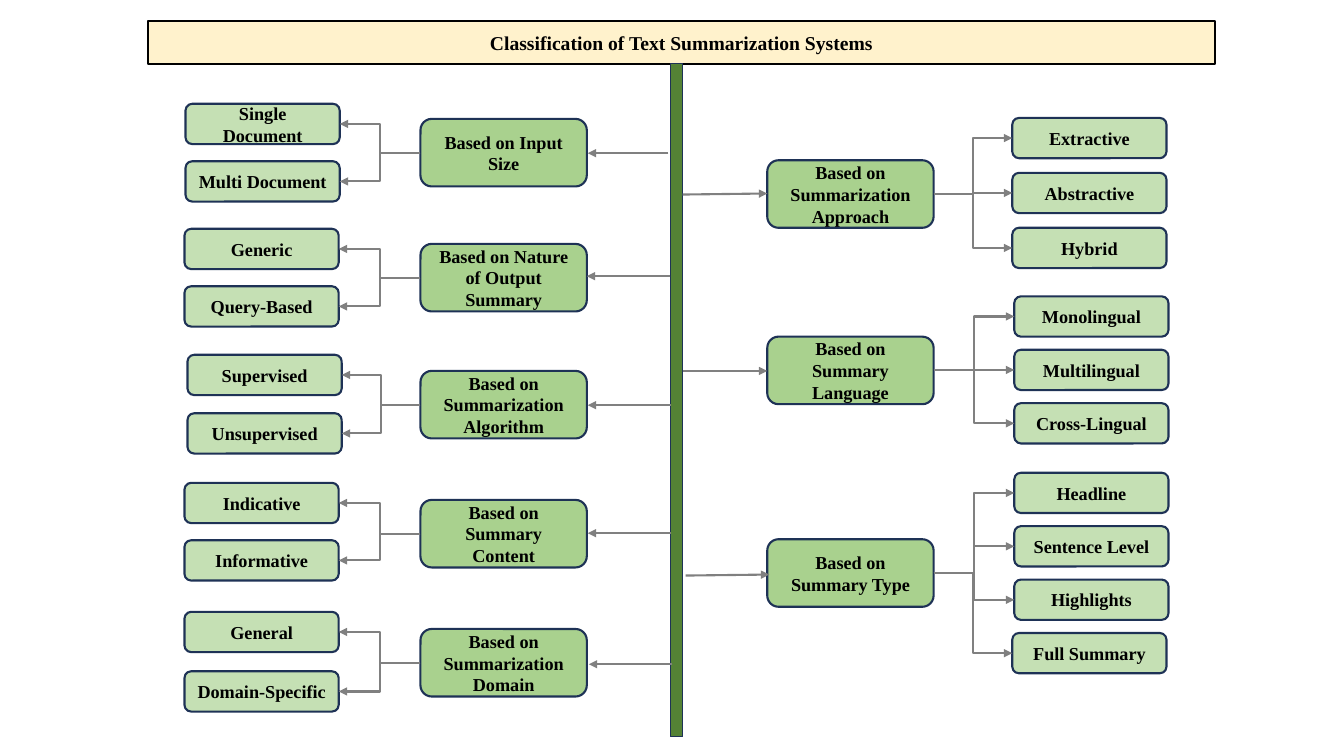
from dataclasses import dataclass

from lxml.etree import SubElement
from pptx import Presentation
from pptx.dml.color import RGBColor
from pptx.enum.shapes import MSO_CONNECTOR as Route, MSO_SHAPE as Preset
from pptx.enum.text import MSO_ANCHOR as Anchor, PP_ALIGN as Align
from pptx.oxml.ns import qn
from pptx.shapes.autoshape import Shape
from pptx.shapes.connector import Connector
from pptx.slide import Slide
from pptx.util import Inches, Pt

WIDTH, HEIGHT = Inches(13.33), Inches(7.5)
COLUMNS, ROWS = 1333, 750
COLUMN, ROW = WIDTH / COLUMNS, HEIGHT / ROWS

COLORS = {
    "banner": "FFF2CC",
    "banner_edge": "000000",
    "trunk": "548235",
    "category": "A9D18E",
    "kind": "C5E0B4",
    "edge": "1E3256",
    "arrow": "808080",
    "text": "000000",
}
FONT = {"name": "Times New Roman", "size": Pt(13), "bold": True}
BANNER_FONT = FONT | {"size": Pt(14)}
FRAME = {"word_wrap": True, "vertical_anchor": Anchor.MIDDLE}

CATEGORY_SIZE = (165, 67)
KIND_SIZE = (153, 40)
LEFT_SITE, RIGHT_SITE = 1, 3


@dataclass(frozen=True)
class Box:
    left: float
    top: float
    width: float
    height: float


@dataclass(frozen=True)
class Category:
    title: str
    top: float
    arrow: tuple[float, float, float, float]
    kinds: tuple[str, ...]
    kind_left: float
    kind_top: float
    pitch: float
    last_shift: float = 0


@dataclass(frozen=True)
class Side:
    left: float
    exit_site: int
    entry_site: int
    categories: tuple[Category, ...]


SIDES = (
    Side(417, LEFT_SITE, RIGHT_SITE, (
        Category("Based on Input Size", 118, (663, 152, 583, 152),
                 ("Single Document", "Multi Document"), 184, 103, 57),
        Category("Based on Nature of Output Summary", 242, (665, 274, 582, 274),
                 ("Generic", "Query-Based"), 183, 227, 57),
        Category("Based on Summarization Algorithm", 368, (666, 402, 583, 402),
                 ("Supervised", "Unsupervised"), 186, 352, 58),
        Category("Based on Summary Content", 496, (666, 529, 583, 529),
                 ("Indicative", "Informative"), 183, 479, 57),
        Category("Based on Summarization Domain", 624, (667, 659, 584, 659),
                 ("General", "Domain-Specific"), 183, 607, 59),
    )),
    Side(761, RIGHT_SITE, LEFT_SITE, (
        Category("Based on Summarization Approach", 159, (677, 193, 761, 192),
                 ("Extractive", "Abstractive", "Hybrid"), 1004, 117, 54.5),
        Category("Based on Summary Language", 334, (677, 368, 761, 368),
                 ("Monolingual", "Multilingual", "Cross-Lingual"), 1006, 294, 53),
        Category("Based on Summary Type", 535, (680, 571, 763, 570),
                 ("Headline", "Sentence Level", "Highlights", "Full Summary"),
                 1006, 469, 53, -2),
    )),
)


def across(columns: float) -> int:
    return round(columns * COLUMN)


def down(rows: float) -> int:
    return round(rows * ROW)


def color(name: str) -> RGBColor:
    return RGBColor.from_string(COLORS[name])


def apply(target: object, values: dict) -> None:
    for attribute, value in values.items():
        setattr(target, attribute, value)


def add_box(slide: Slide, box: Box, preset: Preset, fill: str, edge: str = "edge",
            weight: float = 1.5, text: str = "", font: dict = FONT) -> Shape:
    block = slide.shapes.add_shape(preset, across(box.left), down(box.top),
                                   across(box.width), down(box.height))
    block.shadow.inherit = False
    block.fill.solid()
    block.fill.fore_color.rgb = color(fill)
    block.line.color.rgb = color(edge)
    block.line.width = Pt(weight)
    if text:
        apply(block.text_frame, FRAME)
        paragraph = block.text_frame.paragraphs[0]
        paragraph.alignment = Align.CENTER
        words = paragraph.add_run()
        words.text = text
        apply(words.font, font)
        words.font.color.rgb = color("text")
    return block


def add_arrow(slide: Slide, route: Route,
              ends: tuple[float, float, float, float] = (0, 0, 0, 0)) -> Connector:
    x1, y1, x2, y2 = ends
    arrow = slide.shapes.add_connector(route, across(x1), down(y1), across(x2), down(y2))
    arrow.line.color.rgb = color("arrow")
    arrow.line.width = Pt(1.5)
    properties = arrow.element.spPr
    SubElement(properties.find(qn("a:ln")), qn("a:tailEnd"), type="triangle")
    SubElement(properties, qn("a:effectLst"))
    return arrow


def add_category(slide: Slide, side: Side, category: Category) -> None:
    heading = add_box(slide, Box(side.left, category.top, *CATEGORY_SIZE),
                      Preset.ROUNDED_RECTANGLE, "category", text=category.title)
    add_arrow(slide, Route.STRAIGHT, category.arrow)
    for index, name in enumerate(category.kinds):
        is_last = index == len(category.kinds) - 1
        left = category.kind_left + (category.last_shift if is_last else 0)
        top = category.kind_top + index * category.pitch
        kind = add_box(slide, Box(left, top, *KIND_SIZE),
                       Preset.ROUNDED_RECTANGLE, "kind", text=name)
        branch = add_arrow(slide, Route.ELBOW)
        branch.begin_connect(heading, side.exit_site)
        branch.end_connect(kind, side.entry_site)


def main() -> None:
    deck = Presentation()
    deck.slide_width, deck.slide_height = WIDTH, HEIGHT
    slide = deck.slides.add_slide(deck.slide_layouts[6])
    add_box(slide, Box(147, 21, 1058, 43), Preset.RECTANGLE, "banner", "banner_edge",
            text="Classification of Text Summarization Systems", font=BANNER_FONT)
    add_box(slide, Box(665, 63, 12, 668), Preset.RECTANGLE, "trunk", weight=1)
    for side in SIDES:
        for category in side.categories:
            add_category(slide, side, category)
    deck.save("out.pptx")


if __name__ == "__main__":
    main()
